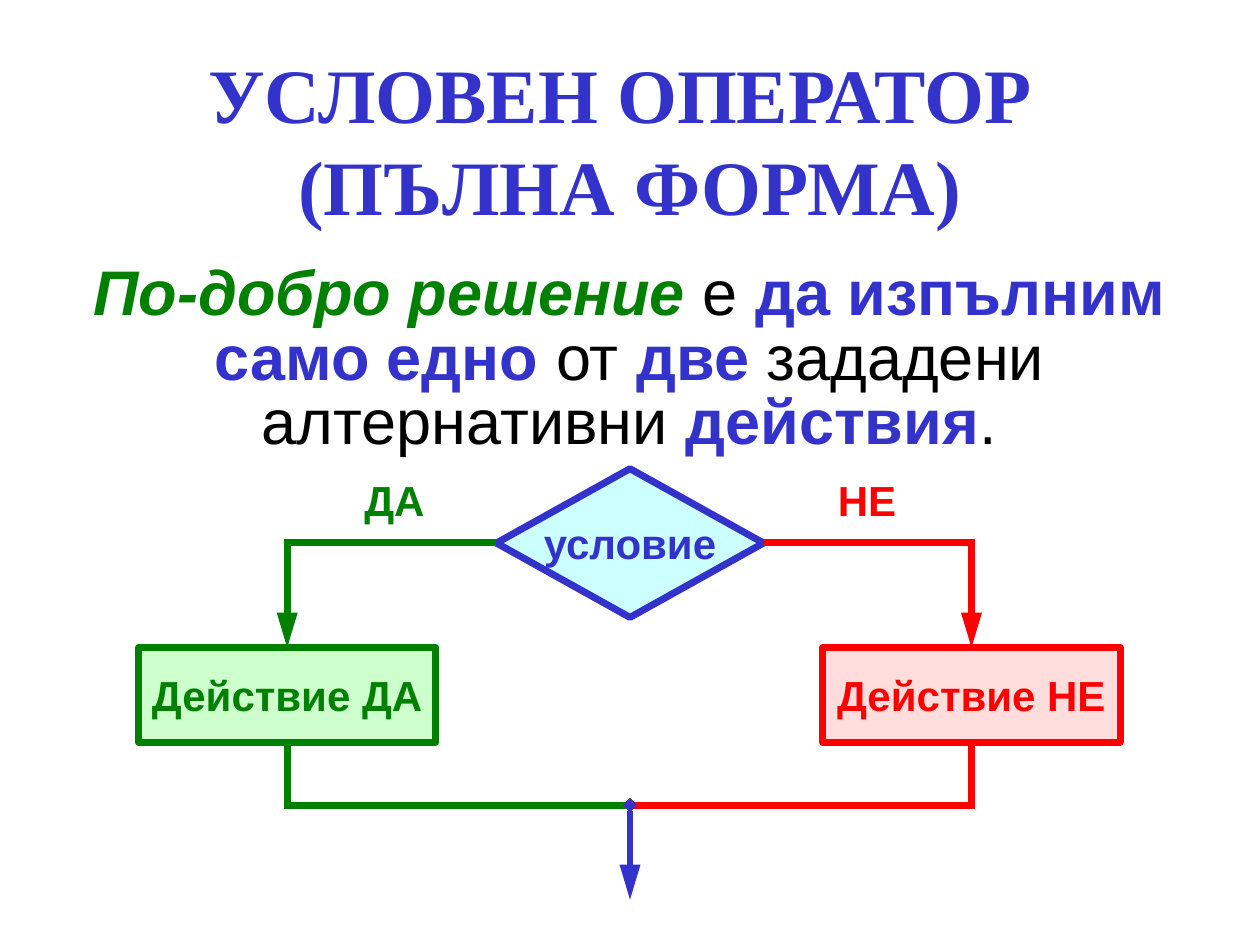
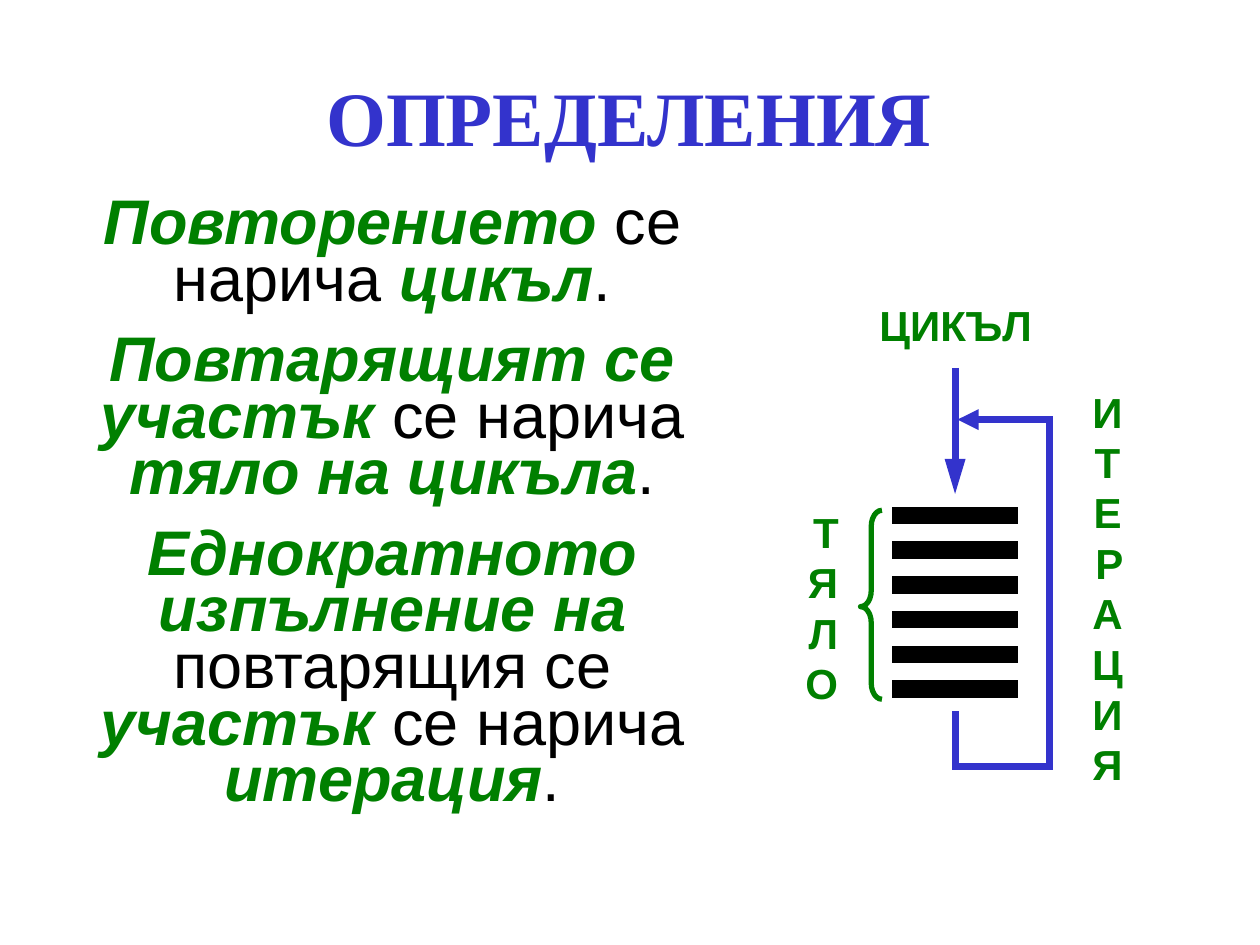
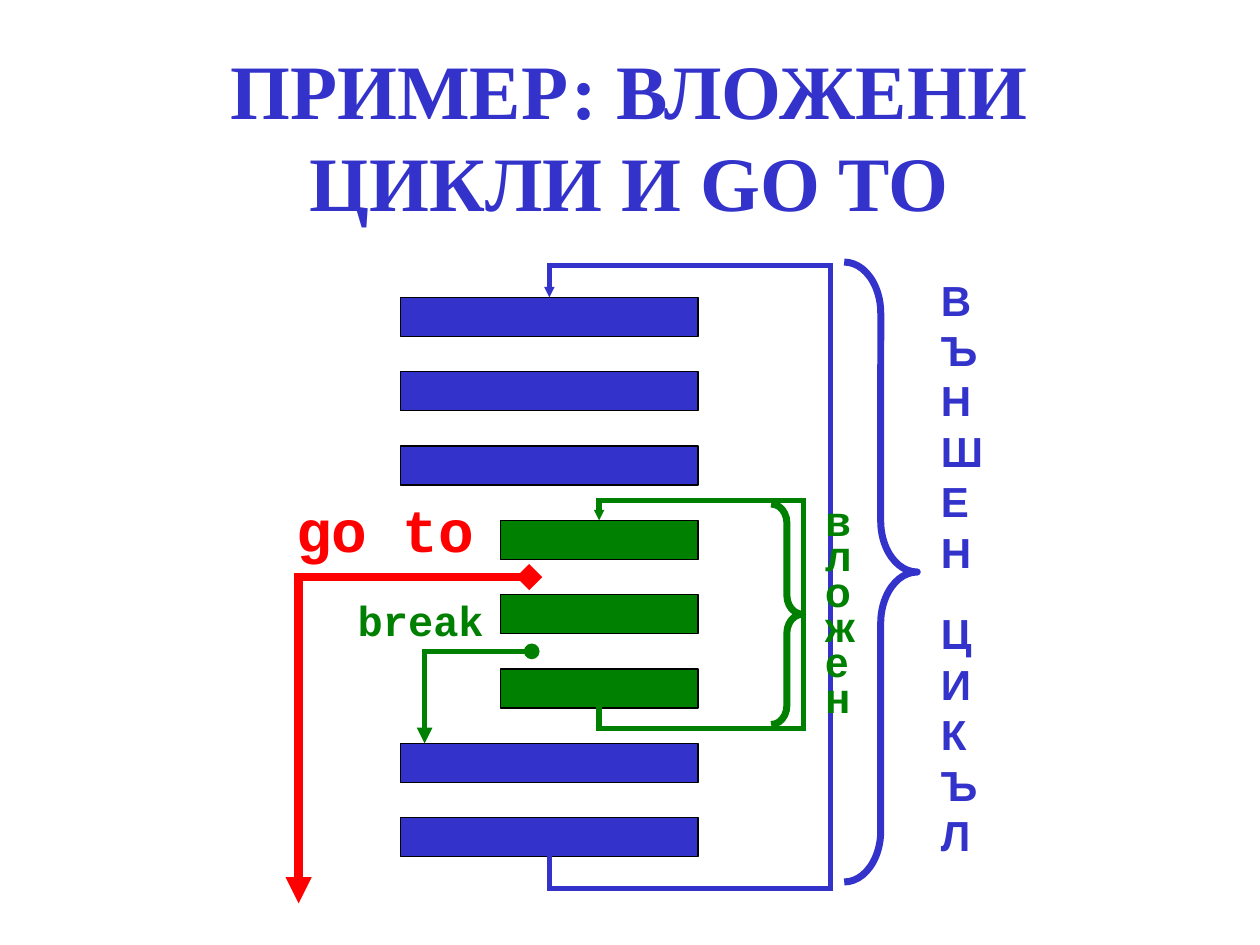
from dataclasses import dataclass

from lxml import etree
from pptx import Presentation
from pptx.dml.color import RGBColor
from pptx.enum.shapes import MSO_CONNECTOR, MSO_SHAPE
from pptx.enum.text import MSO_ANCHOR, MSO_AUTO_SIZE, PP_ALIGN
from pptx.oxml.ns import qn
from pptx.util import Inches, Pt

CENTER, LEFT, RIGHT = PP_ALIGN.CENTER, PP_ALIGN.LEFT, PP_ALIGN.RIGHT
TOP, MIDDLE = MSO_ANCHOR.TOP, MSO_ANCHOR.MIDDLE
STRAIGHT, ELBOW = MSO_CONNECTOR.STRAIGHT, MSO_CONNECTOR.ELBOW
DECISION, PROCESS = MSO_SHAPE.FLOWCHART_DECISION, MSO_SHAPE.FLOWCHART_PROCESS
RECTANGLE = MSO_SHAPE.RECTANGLE
LEFT_BRACE, RIGHT_BRACE = MSO_SHAPE.LEFT_BRACE, MSO_SHAPE.RIGHT_BRACE
SIDE_TOP, SIDE_LEFT, SIDE_BOTTOM, SIDE_RIGHT = range(4)
TITLE_AND_CONTENT = 1

# Line ends: kind, width, length
LONG_ARROW = ("triangle", "med", "lg")
ARROW = ("triangle", "med", "med")
SMALL_ARROW = ("triangle", "sm", "sm")
DIAMOND = ("diamond", "med", "med")
SMALL_DIAMOND = ("diamond", "sm", "sm")
DOT = ("oval", "med", "med")


@dataclass(frozen=True)
class Theme:
    blue: str = "3333CC"
    green: str = "008000"
    red: str = "FF0000"
    black: str = "000000"
    pale_blue: str = "CCFFFF"
    pale_green: str = "CCFFCC"
    pale_red: str = "FFBDBD"
    title_font: str = "Times New Roman"
    text_font: str = "Arial"
    code_font: str = "Courier New"
    title_size: int = 44
    body_size: int = 36
    code_size: int = 34
    label_size: int = 24
    outline: int = 4
    thin: int = 3
    thick: int = 5
    bar: int = 10


THEME = Theme()

# Run styles: colour, bold, italic
TERM = (THEME.green, True, True)
KEY = (THEME.blue, True, False)
PLAIN = (THEME.black, False, False)

# The slide is a grid of 10 columns by 7.5 rows with square cells.
SLIDE_WIDTH, SLIDE_HEIGHT = Inches(10), Inches(7.5)
CELL = SLIDE_WIDTH / 10


def cells(*counts):
    return [round(count * CELL) for count in counts]


def rgb(color):
    return RGBColor.from_string(color)


def set_font(font, name, size, color, bold=True, italic=False):
    font.name, font.size = name, Pt(size)
    font.color.rgb = rgb(color)
    font.bold, font.italic = bold, italic


def place(shape, box):
    shape.left, shape.top, shape.width, shape.height = cells(*box)


def add_slide(presentation, title, title_box):
    layout = presentation.slide_layouts[TITLE_AND_CONTENT]
    slide = presentation.slides.add_slide(layout)
    place(slide.shapes.title, title_box)
    frame = slide.shapes.title.text_frame
    frame.auto_size = MSO_AUTO_SIZE.NONE
    frame.vertical_anchor = MIDDLE
    paragraph = frame.paragraphs[0]
    paragraph.text = title
    paragraph.alignment = CENTER
    set_font(paragraph.font, THEME.title_font, THEME.title_size, THEME.blue)
    return slide


def body_paragraphs(slide, box, count, alignment, line_spacing, space_before):
    """Place the body placeholder and return its paragraphs without bullets."""
    body = slide.placeholders[1]
    place(body, box)
    frame = body.text_frame
    frame.auto_size = MSO_AUTO_SIZE.NONE
    frame.vertical_anchor = TOP
    for _ in range(count - 1):
        frame.add_paragraph()
    for paragraph in frame.paragraphs:
        paragraph.alignment = alignment
        paragraph.line_spacing = line_spacing
        paragraph.space_before = Pt(space_before)
        properties = paragraph._p.get_or_add_pPr()
        properties.set("marL", "0")
        properties.set("indent", "0")
        etree.SubElement(properties, qn("a:buNone"))
    return frame.paragraphs


def fill_body(slide, box, texts, line_spacing, space_before):
    paragraphs = body_paragraphs(slide, box, len(texts), CENTER,
                                 line_spacing, space_before)
    for paragraph, runs in zip(paragraphs, texts):
        for text, style in runs:
            run = paragraph.add_run()
            run.text = text
            set_font(run.font, THEME.text_font, THEME.body_size, *style)


def add_label(slide, box, texts, color, alignment=CENTER, anchor=MIDDLE,
              font=THEME.text_font, space_before=15, line_spacing=None):
    """Bold label; in a box one letter wide the text runs downwards."""
    label = slide.shapes.add_textbox(*cells(*box))
    frame = label.text_frame
    frame.word_wrap = True
    frame.vertical_anchor = anchor
    for index, text in enumerate(texts):
        paragraph = frame.add_paragraph() if index else frame.paragraphs[0]
        paragraph.text = text
        paragraph.alignment = alignment
        paragraph.space_before = Pt(space_before)
        paragraph.line_spacing = line_spacing
        set_font(paragraph.font, font, THEME.label_size, color)


def add_block(slide, kind, box, fill, line, width):
    block = slide.shapes.add_shape(kind, *cells(*box))
    block.shadow.inherit = False
    block.fill.solid()
    block.fill.fore_color.rgb = rgb(fill)
    block.line.color.rgb = rgb(line)
    block.line.width = Pt(width)
    return block


def add_flow_step(slide, kind, box, text, fill, color):
    step = add_block(slide, kind, box, fill, color, THEME.outline)
    frame = step.text_frame
    frame.word_wrap = False
    frame.vertical_anchor = MIDDLE
    paragraph = frame.paragraphs[0]
    paragraph.text = text
    paragraph.alignment = CENTER
    set_font(paragraph.font, THEME.text_font, THEME.label_size, color)
    return step


def make_transparent(shape, percent):
    color = shape.element.spPr.find(qn("a:solidFill"))[0]
    etree.SubElement(color, qn("a:alpha"), val=str((100 - percent) * 1000))


def add_brace(slide, kind, box, color, width, curve, point=0.5):
    brace = slide.shapes.add_shape(kind, *cells(*box))
    brace.shadow.inherit = False
    brace.fill.background()
    brace.line.color.rgb = rgb(color)
    brace.line.width = Pt(width)
    brace.adjustments[0], brace.adjustments[1] = curve, point


def add_line(slide, start, end, color, width, head=None, tail=None,
             kind=STRAIGHT, cap="flat"):
    line = slide.shapes.add_connector(kind, *cells(*start, *end))
    line.line.color.rgb = rgb(color)
    line.line.width = Pt(width)
    properties = line.element.spPr
    outline = properties.find(qn("a:ln"))
    outline.set("cap", cap)
    etree.SubElement(outline, qn("a:miter"), lim="800000")
    for tag, line_end in (("a:headEnd", head), ("a:tailEnd", tail)):
        if line_end:
            end_kind, end_width, length = line_end
            etree.SubElement(outline, qn(tag), type=end_kind,
                             w=end_width, len=length)
    etree.SubElement(properties, qn("a:effectLst"))
    return line


def add_route(slide, points, color, width, head=None, tail=None):
    """Chain straight lines through the points and return them."""
    last = len(points) - 2
    return [
        add_line(slide, start, end, color, width,
                 head if index == 0 else None,
                 tail if index == last else None, cap="sq")
        for index, (start, end) in enumerate(zip(points, points[1:]))
    ]


def add_branch(slide, decision, side, step, color):
    """One-bend arrow from a side of the decision to the top of a step."""
    branch = add_line(slide, (0, 0), (1, 1), color, THEME.outline,
                      tail=LONG_ARROW, kind=ELBOW)
    branch.begin_connect(decision, side)
    branch.end_connect(step, SIDE_TOP)
    branch.element.spPr.find(qn("a:prstGeom")).set("prst", "bentConnector2")


def add_loop(slide, first, last, right, gap, color):
    """Arrow from below the last block, round the right, to the first one."""
    middle = (first.left + first.width / 2) / CELL
    top = first.top / CELL
    bottom = (last.top + last.height) / CELL
    points = [(middle, bottom), (middle, bottom + gap), (right, bottom + gap),
              (right, top - gap), (middle, top - gap), (middle, top)]
    lines = add_route(slide, points, color, THEME.thin, tail=SMALL_ARROW)
    lines[0].begin_connect(last, SIDE_BOTTOM)
    lines[-1].end_connect(first, SIDE_TOP)


def build_conditional(presentation):
    slide = add_slide(presentation, "УСЛОВЕН ОПЕРАТОР \n(ПЪЛНА ФОРМА)",
                      (0.24, 0.39, 9.52, 1.42))
    fill_body(slide, (0.51, 2.05, 8.97, 1.67), [[
        ("По-добро решение ", TERM), ("е ", PLAIN),
        ("да изпълним само едно ", KEY), ("от ", PLAIN), ("две", KEY),
        (" зададени алтернативни", PLAIN), (" действия", KEY), (".", PLAIN),
    ]], 0.85, 11.2)
    decision = add_flow_step(slide, DECISION, (3.94, 3.72, 2.12, 1.18),
                             "условие", THEME.pale_blue, THEME.blue)
    merge = (5, 6.39)
    branches = (
        ("ДА", 1.1, 2.67, SIDE_LEFT, THEME.pale_green, THEME.green),
        ("НЕ", 6.53, 6.42, SIDE_RIGHT, THEME.pale_red, THEME.red),
    )
    for answer, left, label_left, side, fill, color in branches:
        step = add_flow_step(slide, PROCESS, (left, 5.14, 2.36, 0.75),
                             f"Действие {answer}", fill, color)
        if fill == THEME.pale_red:
            make_transparent(step, 50)
        add_branch(slide, decision, side, step, color)
        add_label(slide, (label_left, 3.72, 0.92, 0.5), [answer], color,
                  anchor=TOP)
        middle = left + 1.18
        lines = add_route(slide, [(middle, 5.89), (middle, merge[1]), merge],
                          color, THEME.outline, tail=SMALL_DIAMOND)
        lines[0].begin_connect(step, SIDE_BOTTOM)
    add_line(slide, merge, (5, 7.14), THEME.blue, THEME.outline,
             SMALL_DIAMOND, LONG_ARROW)


def build_definitions(presentation):
    slide = add_slide(presentation, "ОПРЕДЕЛЕНИЯ", (0.51, 0.53, 8.97, 0.77))
    fill_body(slide, (0.67, 1.53, 4.89, 5.54), [
        [("Повторението ", TERM), ("се нарича ", PLAIN), ("цикъл", TERM),
         (".", PLAIN)],
        [("Повтарящият се участък", TERM), (" се нарича ", PLAIN),
         ("тяло на цикъла", TERM), (".", PLAIN)],
        [("Еднократното изпълнение на", TERM), (" повтарящия се ", PLAIN),
         ("участък", TERM), (" се нарича ", PLAIN), ("итерация", TERM),
         (".", PLAIN)],
    ], 0.75, 13.5)
    add_label(slide, (6.42, 2.33, 2.33, 0.5), ["ЦИКЪЛ"], THEME.green,
              anchor=TOP)
    axis = 7.58
    add_line(slide, (axis, 2.92), (axis, 3.92), THEME.blue, THEME.outline,
             tail=LONG_ARROW)
    for index in range(6):
        height = 4.09 + 0.276 * index
        add_line(slide, (axis - 0.5, height), (axis + 0.5, height),
                 THEME.black, THEME.bar)
    add_brace(slide, LEFT_BRACE, (6.83, 4.05, 0.17, 1.5), THEME.green,
              THEME.thin, 0.75, 0.51)
    add_label(slide, (6.17, 3.97, 0.58, 1.7), ["ТЯЛО"], THEME.green, RIGHT)
    add_route(slide, [(axis, 5.67), (axis, 6.08), (8.33, 6.08), (8.33, 3.33),
                      (7.6, 3.33)], THEME.blue, THEME.outline, tail=ARROW)
    add_label(slide, (8.5, 3.08, 0.58, 3.17), ["ИТЕРАЦИЯ"], THEME.green)


def build_nested_loops(presentation):
    slide = add_slide(presentation, "ПРИМЕР: ВЛОЖЕНИ ЦИКЛИ И GO TO",
                      (0.9, 0.31, 8.19, 1.52))
    go_to = body_paragraphs(slide, (2.25, 3.95, 1.94, 0.58), 1, LEFT,
                            0.85, 6.4)[0]
    go_to.text = "go to"
    set_font(go_to.font, THEME.code_font, THEME.code_size, THEME.red)

    right, blocks = 5.54, []
    for index, kind in enumerate("outer outer outer inner inner inner "
                                 "outer outer".split()):
        width, color = ((2.36, THEME.blue) if kind == "outer"
                        else (1.57, THEME.green))
        box = (right - width, 2.36 + 0.59 * index, width, 0.31)
        blocks.append(add_block(slide, RECTANGLE, box, color,
                                THEME.black, 0.75))
    add_loop(slide, blocks[3], blocks[5], 6.38, 0.16, THEME.green)
    add_loop(slide, blocks[0], blocks[-1], 6.59, 0.25, THEME.blue)

    add_brace(slide, RIGHT_BRACE, (6.12, 4, 0.25, 1.75), THEME.green,
              THEME.outline, 0.6)
    add_label(slide, (6.45, 4, 0.5, 1.75), ["вложен"], THEME.green, LEFT,
              space_before=0, line_spacing=0.7)
    add_brace(slide, RIGHT_BRACE, (6.7, 2.08, 0.58, 4.92), THEME.blue,
              THEME.outline, 0.7)
    add_label(slide, (7.37, 2, 0.5, 5), ["ВЪНШЕН", "ЦИКЪЛ"], THEME.blue,
              LEFT, space_before=18)

    add_route(slide, [(4.22, 5.17), (3.37, 5.17), (3.37, 5.9)], THEME.green,
              THEME.thin, DOT, ARROW)
    add_label(slide, (2.74, 4.67, 1.25, 0.5), ["break"], THEME.green, LEFT,
              font=THEME.code_font)
    add_route(slide, [(4.2, 4.58), (2.37, 4.58), (2.37, 7.17)], THEME.red,
              THEME.thick, DIAMOND, ARROW)


def main():
    presentation = Presentation()
    presentation.slide_width = SLIDE_WIDTH
    presentation.slide_height = SLIDE_HEIGHT
    build_conditional(presentation)
    build_definitions(presentation)
    build_nested_loops(presentation)
    presentation.save("out.pptx")


if __name__ == "__main__":
    main()
